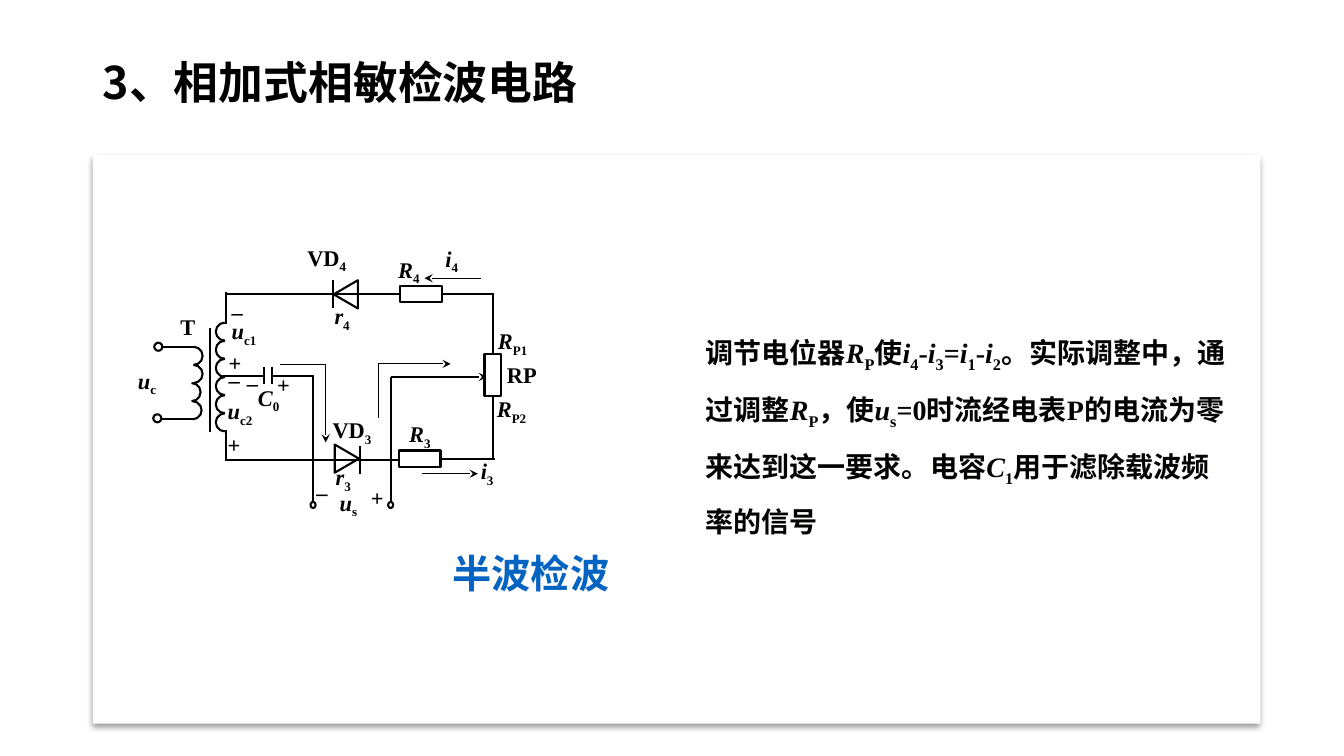
from dataclasses import dataclass

from lxml import etree
from pptx import Presentation
from pptx.dml.color import RGBColor
from pptx.enum.shapes import MSO_CONNECTOR, MSO_SHAPE
from pptx.enum.text import MSO_ANCHOR, PP_ALIGN
from pptx.oxml.ns import qn
from pptx.util import Inches, Pt

STRAIGHT = MSO_CONNECTOR.STRAIGHT
RECT, OVAL, ARC = MSO_SHAPE.RECTANGLE, MSO_SHAPE.OVAL, MSO_SHAPE.ARC
TRIANGLE = MSO_SHAPE.ISOSCELES_TRIANGLE
TOP, MIDDLE = MSO_ANCHOR.TOP, MSO_ANCHOR.MIDDLE
LEFT, CENTER, JUSTIFY = PP_ALIGN.LEFT, PP_ALIGN.CENTER, PP_ALIGN.JUSTIFY


@dataclass(frozen=True)
class Theme:
    ink: RGBColor = RGBColor(0, 0, 0)
    paper: RGBColor = RGBColor(255, 255, 255)
    body_ink: RGBColor = RGBColor(3, 3, 1)
    accent: RGBColor = RGBColor(0x05, 0x63, 0xC1)
    latin: str = "Times New Roman"
    cjk: str = "Noto Sans CJK SC"
    title: float = 32
    caption: float = 28
    body: float = 20
    label: float = 16
    wire: float = 1.5
    current: float = 0.75


@dataclass(frozen=True)
class Run:
    text: str
    italic: bool = False
    sub: bool = False


@dataclass(frozen=True)
class Label:
    x: float
    y: float
    w: float
    main: str
    sub: str = ""
    italic: bool = True


@dataclass(frozen=True)
class Line:
    x1: float
    y1: float
    x2: float
    y2: float
    arrow: bool = False


@dataclass(frozen=True)
class Part:
    kind: int
    x: float
    y: float
    w: float
    h: float
    rotation: float = 0


T = Theme()


def symbol(main: str, sub: str) -> list[Run]:
    """Italic quantity with an upright subscript."""
    return [Run(main, italic=True), Run(sub, sub=True)]


LABELS = [
    Label(4.32, 2.38, 0.6, "i", "4"), Label(4.67, 4.49, 0.55, "i", "3"),
    Label(3.85, 2.49, 0.55, "R", "4"), Label(3.96, 4.12, 0.55, "R", "3"),
    Label(2.95, 2.37, 0.76, "VD", "4", False), Label(3.2, 4.08, 0.86, "VD", "3", False),
    Label(3.22, 2.95, 0.6, "r", "4"), Label(3.23, 4.55, 0.55, "r", "3"),
    Label(2.2, 3.1, 0.55, "u", "c1"), Label(2.16, 3.89, 0.55, "u", "c2"),
    Label(3.27, 4.8, 0.56, "u", "s"), Label(1.27, 3.59, 0.63, "u", "c"),
    Label(2.46, 3.76, 0.55, "C", "0"), Label(1.69, 3.06, 0.63, "T", italic=False),
    Label(4.84, 3.2, 0.71, "R", "P1"), Label(4.83, 3.87, 0.71, "R", "P2"),
    Label(4.93, 3.53, 0.54, "RP", italic=False),
    *(Label(x, y, 0.55, sign, italic=False) for x, y, sign in (
        (2.16, 4.23, "+"), (2.2, 2.91, "–"), (2.17, 3.41, "+"), (2.17, 3.58, "–"),
        (3.58, 4.75, "+"), (3.04, 4.62, "_"), (2.35, 3.61, "–"), (2.65, 3.63, "+"))),
]

DIODES = [Part(TRIANGLE, 3.29, 2.8, 0.28, 0.24, 270), Part(TRIANGLE, 3.3, 4.43, 0.28, 0.24, 90)]
RESISTORS = [Part(RECT, 3.97, 2.84, 0.41, 0.16), Part(RECT, 3.96, 4.47, 0.41, 0.16),
             Part(RECT, 4.68, 3.64, 0.41, 0.16, 90)]
TERMINALS = [Part(OVAL, 3.08, 4.98, 0.05, 0.06), Part(OVAL, 3.85, 4.98, 0.05, 0.06),
             Part(OVAL, 1.52, 4.11, 0.08, 0.08), Part(OVAL, 1.53, 3.4, 0.08, 0.08)]

WIRES = [
    Line(3.97, 2.92, 2.25, 2.92), Line(4.9, 2.92, 4.39, 2.92),
    Line(4.89, 2.92, 4.89, 3.51), Line(4.89, 3.92, 4.89, 4.55),
    Line(4.38, 4.55, 4.91, 4.55), Line(3.96, 4.56, 2.25, 4.56),
    Line(2.24, 2.9, 2.24, 3.21), Line(2.24, 4.27, 2.24, 4.57),
    Line(2.08, 3.25, 2.08, 4.29),
    Line(1.92, 3.44, 1.6, 3.44), Line(1.92, 4.16, 1.6, 4.16),
    Line(2.61, 3.73, 2.21, 3.73), Line(2.7, 3.73, 3.11, 3.73),
    Line(2.62, 3.64, 2.62, 3.81), Line(2.7, 3.64, 2.7, 3.81),
    Line(3.1, 3.74, 3.1, 4.99), Line(3.88, 3.74, 3.88, 5.02),
    Line(3.88, 3.74, 4.83, 3.74, True),
    Line(3.3, 2.78, 3.3, 3.06), Line(3.57, 4.42, 3.57, 4.7),
]
CURRENTS = [
    Line(4.77, 2.76, 4.21, 2.76, True), Line(4.19, 4.7, 4.74, 4.7, True),
    Line(3.75, 3.61, 3.75, 4.15), Line(3.75, 3.61, 4.47, 3.61, True),
    Line(2.78, 3.62, 3.23, 3.62), Line(3.23, 3.62, 3.23, 4.39, True),
]

TURN = 0.18
PRIMARY_X = (1.92, 1.92, 1.9, 1.91)
SECONDARY_TURNS = 6

EXPLANATION = [
    Run("调节电位器"), *symbol("R", "P"), Run("使"), *symbol("i", "4"), Run("-"),
    *symbol("i", "3"), Run("="), *symbol("i", "1"), Run("-"), *symbol("i", "2"),
    Run("。实际调整中，通过调整"), *symbol("R", "P"), Run("，使"), *symbol("u", "s"),
    Run("=0时流经电表P的电流为零来达到这一要求。电容"), *symbol("C", "1"),
    Run("用于滤除载波频率的信号"),
]


def add_text(s, box: tuple, runs: list[Run], size: float, color: RGBColor = T.ink,
             latin: str = T.latin, align: int = LEFT, anchor: int = TOP,
             spacing: float = 1.0, wrap: bool = True) -> None:
    tf = s.shapes.add_textbox(*map(Inches, box)).text_frame
    tf.word_wrap, tf.vertical_anchor = wrap, anchor
    p = tf.paragraphs[0]
    p.alignment, p.line_spacing = align, spacing
    p.font.name, p.font.size, p.font.bold = latin, Pt(size), True
    p.font.color.rgb = color
    for run in runs:
        r = p.add_run()
        r.text = run.text
        if run.italic:
            r.font.italic = True
        rPr = r._r.get_or_add_rPr()
        if run.sub:
            rPr.set("baseline", "-25000")
        etree.SubElement(rPr, qn("a:ea"), typeface=T.cjk)


def add_line(s, line: Line, width: float) -> None:
    c = s.shapes.add_connector(STRAIGHT, *map(Inches, (line.x1, line.y1, line.x2, line.y2)))
    c.line.color.rgb, c.line.width = T.ink, Pt(width)
    if line.arrow:
        etree.SubElement(c.line._get_or_add_ln(), qn("a:tailEnd"), type="stealth")
    etree.SubElement(c._element.spPr, qn("a:effectLst"))


def add_part(s, part: Part):
    shape = s.shapes.add_shape(part.kind, *map(Inches, (part.x, part.y, part.w, part.h)))
    shape.shadow.inherit = False
    shape.rotation = part.rotation
    shape.fill.solid()
    shape.fill.fore_color.rgb = T.paper
    shape.line.color.rgb, shape.line.width = T.ink, Pt(T.wire)
    return shape


def add_turn(s, x: float, y: float, start: float, end: float) -> None:
    """Half-circle coil turn centred on x, from start to end degrees."""
    arc = add_part(s, Part(ARC, x - TURN / 2, y, TURN, TURN))
    arc.fill.background()
    for i, degrees in enumerate((start, end)):
        arc.adjustments[i] = degrees * 0.6


def add_panel(s) -> None:
    panel = add_part(s, Part(RECT, 0.92, 1.54, 11.58, 5.64))
    panel.line.fill.background()
    effects = panel._element.spPr.find(qn("a:effectLst"))
    shadow = etree.SubElement(effects, qn("a:outerShdw"), blurRad=str(Pt(4)),
                              dist=str(Pt(3)), dir="5400000", algn="ctr", rotWithShape="0")
    color = etree.SubElement(shadow, qn("a:srgbClr"), val=str(T.ink))
    etree.SubElement(color, qn("a:alpha"), val="40000")


def add_circuit(s) -> None:
    for diode in DIODES:
        add_part(s, diode)
    for wire in WIRES:
        add_line(s, wire, T.wire)
    for current in CURRENTS:
        add_line(s, current, T.current)
    for part in RESISTORS + TERMINALS:
        add_part(s, part)
    for i, x in enumerate(PRIMARY_X):
        add_turn(s, x, 3.44 + i * TURN, 270, 90)
    for i in range(SECONDARY_TURNS):
        add_turn(s, 2.23, 3.2 + i * TURN, 90, 270)
    for label in LABELS:
        runs = [Run(label.main, italic=label.italic)]
        if label.sub:
            runs.append(Run(label.sub, sub=True))
        add_text(s, (label.x, label.y, label.w, 0.51), runs, T.label, align=JUSTIFY)


def main() -> None:
    prs = Presentation()
    prs.slide_width, prs.slide_height = Inches(13.33), Inches(7.5)
    s = prs.slides.add_slide(prs.slide_layouts[6])
    add_panel(s)
    add_circuit(s)
    add_text(s, (6.9, 3.18, 5.38, 2.12), EXPLANATION, T.body, T.body_ink,
             anchor=MIDDLE, spacing=1.5)
    add_text(s, (4.07, 5.4, 2.39, 0.59), [Run("半波检波")], T.caption, T.accent,
             align=CENTER, wrap=False)
    add_text(s, (0.92, 0.52, 11.5, 0.65), [Run("3、相加式相敏检波电路")], T.title,
             latin=T.cjk, anchor=MIDDLE, spacing=0.9)
    prs.save("out.pptx")


if __name__ == "__main__":
    main()
